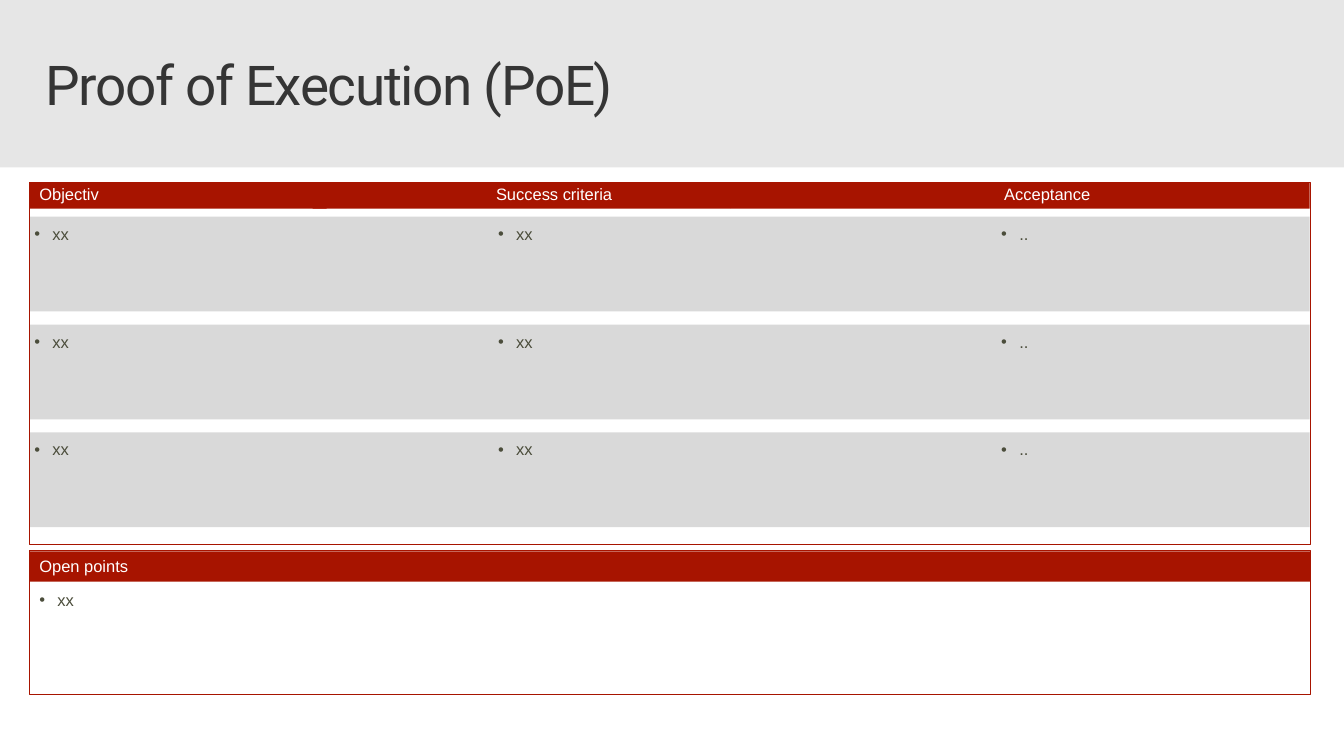
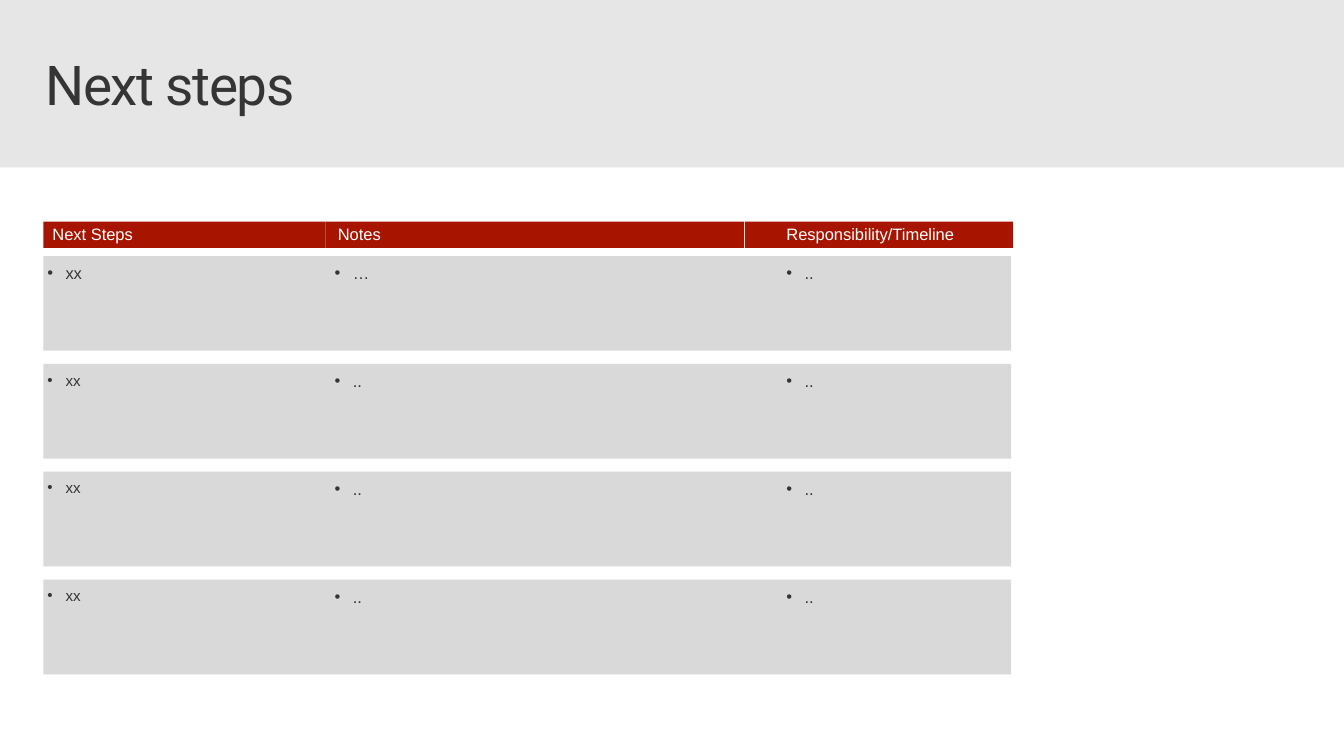
from collections import namedtuple

from lxml import etree
from pptx import Presentation
from pptx.dml.color import RGBColor
from pptx.enum.shapes import MSO_SHAPE
from pptx.enum.text import MSO_ANCHOR, MSO_AUTO_SIZE
from pptx.oxml.ns import qn
from pptx.util import Inches, Pt

RECTANGLE = MSO_SHAPE.RECTANGLE
MIDDLE = MSO_ANCHOR.MIDDLE
GROW = MSO_AUTO_SIZE.SHAPE_TO_FIT_TEXT

# Shared style
RED = RGBColor(0xA7, 0x14, 0x00)
WHITE = RGBColor(0xFF, 0xFF, 0xFF)
BACKDROP = RGBColor(0xE6, 0xE6, 0xE6)
ROW_GRAY = RGBColor(0xD9, 0xD9, 0xD9)
DARK = RGBColor(0x35, 0x35, 0x35)
OLIVE = RGBColor(0x4B, 0x4D, 0x3B)
TITLE_FONT, BODY_FONT = "Roboto", "Arial"
TITLE_SIZE, BODY_SIZE, SMALL_SIZE = 39.2, 11.8, 10.8

# Shared measures in inches
SLIDE_WIDTH, SLIDE_HEIGHT = 13.33, 7.5
BODY_TOP = 1.66
HEADER_HEIGHT = 0.26
ROW_HEIGHT, ROW_PITCH = 0.94, 1.07
ROW_OFFSET = 0.34  # from the top of the header to the first row
ROW_PADDING = 0.07
LINE_HEIGHT = 0.2
BULLET_INDENT = 0.18

Column = namedtuple(
    "Column", "heading bar_left bar_width heading_left heading_width item_left item_width")


def add_box(slide, left, top, width, height, fill=None, line=None):
    """Plain rectangle with an optional fill and outline."""
    box = slide.shapes.add_shape(
        RECTANGLE, Inches(left), Inches(top), Inches(width), Inches(height))
    box.shadow.inherit = False
    if fill is None:
        box.fill.background()
    else:
        box.fill.solid()
        box.fill.fore_color.rgb = fill
    if line is None:
        box.line.fill.background()
    else:
        box.line.color.rgb = line
        box.line.width = Pt(0.75)


def add_text(slide, text, left, top, width, color, size=BODY_SIZE,
             font=BODY_FONT, height=LINE_HEIGHT, inset_x=0, inset_y=0):
    """Single-paragraph text box; returns its text frame."""
    label = slide.shapes.add_textbox(
        Inches(left), Inches(top), Inches(width), Inches(height))
    frame = label.text_frame
    frame.word_wrap = True
    frame.auto_size = GROW
    frame.margin_left = frame.margin_right = Inches(inset_x)
    frame.margin_top = frame.margin_bottom = Inches(inset_y)
    frame.text = text
    run_font = frame.paragraphs[0].runs[0].font
    run_font.name = font
    run_font.size = Pt(size)
    run_font.color.rgb = color
    return frame


def add_bullet(slide, text, left, top, width, color, size=BODY_SIZE):
    frame = add_text(slide, text, left, top, width, color, size)
    properties = frame.paragraphs[0]._p.get_or_add_pPr()
    properties.set("marL", str(Inches(BULLET_INDENT)))
    properties.set("indent", str(-Inches(BULLET_INDENT)))
    etree.SubElement(properties, qn("a:buFont")).set("typeface", BODY_FONT)
    etree.SubElement(properties, qn("a:buChar")).set("char", "•")


def add_titled_slide(deck, title):
    """Blank slide with the gray title band and white body."""
    slide = deck.slides.add_slide(deck.slide_layouts[6])
    slide.background.fill.solid()
    slide.background.fill.fore_color.rgb = BACKDROP
    add_box(slide, 0, BODY_TOP, SLIDE_WIDTH, SLIDE_HEIGHT - BODY_TOP, WHITE)
    frame = add_text(slide, title, 0.29, 0.48, 12.64, DARK, TITLE_SIZE,
                     TITLE_FONT, 0.79, 0.16, 0.1)
    frame.vertical_anchor = MIDDLE
    heading = frame.paragraphs[0]
    heading.line_spacing = 0.9
    heading.runs[0]._r.get_or_add_rPr().set("spc", "-100")
    return slide


def add_grid(slide, top, left, width, columns, rows, color, small_cells=()):
    """Red header bars above gray rows of bulleted items."""
    for column in columns:
        add_box(slide, column.bar_left, top, column.bar_width, HEADER_HEIGHT, RED)
    for column in columns:
        add_text(slide, column.heading, column.heading_left, top + 0.02,
                 column.heading_width, WHITE)
    for row, items in enumerate(rows):
        row_top = top + ROW_OFFSET + row * ROW_PITCH
        add_box(slide, left, row_top, width, ROW_HEIGHT, ROW_GRAY)
        for index, (column, item) in enumerate(zip(columns, items)):
            size = SMALL_SIZE if (row, index) in small_cells else BODY_SIZE
            add_bullet(slide, item, column.item_left, row_top + ROW_PADDING,
                       column.item_width, color, size)


def build_proof_of_execution(deck):
    slide = add_titled_slide(deck, "Proof of Execution (PoE)")
    columns = [
        Column("Objectiv", 0.29, 2.95, 0.39, 1.61, 0.34, 2.62),
        Column("Success criteria", 3.1, 4.15, 4.92, 2.2, 4.94, 4.06),
        Column("Acceptance", 7.25, 5.74, 9.96, 2.08, 9.93, 1.7),
    ]
    add_grid(slide, 1.81, 0.3, 12.69, columns, [("xx", "xx", "..")] * 3, OLIVE)
    add_box(slide, 0.29, 1.81, 12.71, 3.59, line=RED)

    # Open points panel
    add_box(slide, 0.29, 5.46, 12.71, 1.43, line=RED)
    add_box(slide, 0.29, 5.47, 12.71, 0.3, RED)
    add_text(slide, "Open points", 0.39, 5.52, 6.82, WHITE)
    add_bullet(slide, "xx", 0.39, 5.85, 9.42, OLIVE)


def build_next_steps(deck):
    slide = add_titled_slide(deck, "Next steps")
    columns = [
        Column("Next Steps", 0.43, 2.8, 0.52, 1.61, 0.47, 2.62),
        Column("Notes", 3.23, 4.15, 3.35, 3.28, 3.32, 4.06),
        Column("Responsibility/Timeline", 7.39, 2.66, 7.8, 1.7, 7.8, 1.7),
    ]
    rows = [("xx", "…", "..")] + [("xx", "..", "..")] * 3
    add_grid(slide, 2.2, 0.43, 9.6, columns, rows, DARK,
             small_cells={(1, 0), (2, 0), (3, 0)})


def main():
    deck = Presentation()
    deck.slide_width = Inches(SLIDE_WIDTH)
    deck.slide_height = Inches(SLIDE_HEIGHT)
    build_proof_of_execution(deck)
    build_next_steps(deck)
    deck.save("out.pptx")


main()
